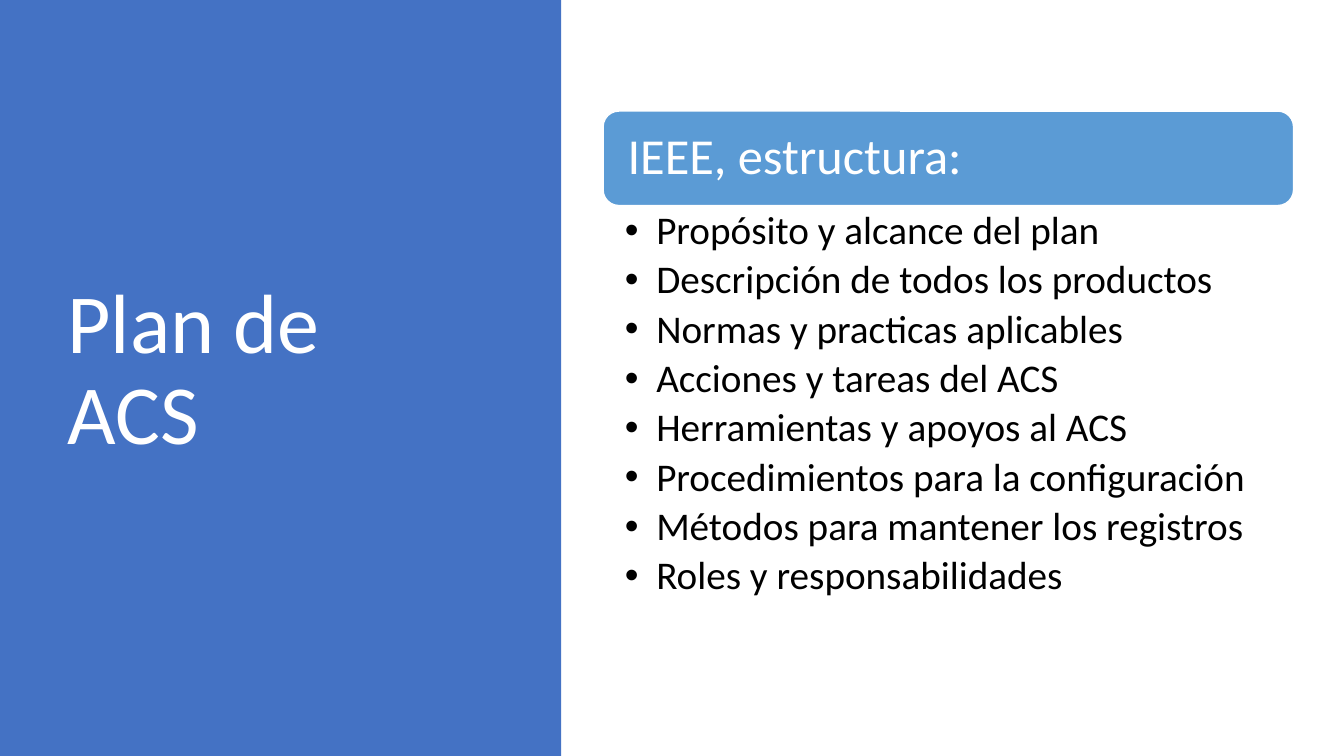
from dataclasses import dataclass

from lxml import etree
from pptx import Presentation
from pptx.dml.color import RGBColor
from pptx.enum.shapes import MSO_SHAPE
from pptx.enum.text import MSO_ANCHOR, MSO_AUTO_SIZE, PP_ALIGN
from pptx.oxml.ns import qn
from pptx.shapes.autoshape import Shape
from pptx.slide import Slide
from pptx.util import Cm, Pt

RECTANGLE = MSO_SHAPE.RECTANGLE
ROUNDED_RECTANGLE = MSO_SHAPE.ROUNDED_RECTANGLE
TOP, MIDDLE = MSO_ANCHOR.TOP, MSO_ANCHOR.MIDDLE
LEFT = PP_ALIGN.LEFT
NO_AUTOFIT = MSO_AUTO_SIZE.NONE

COLORS = {"panel": "4472C4", "header": "5B9BD5", "white": "FFFFFF", "black": "000000"}
FONT = "Calibri"
TITLE_ONLY_LAYOUT = 5
BULLET_INDENT = Cm(0.79)
TOPICS = [
    "Propósito y alcance del plan",
    "Descripción de todos los productos",
    "Normas y practicas aplicables",
    "Acciones y tareas del ACS",
    "Herramientas y apoyos al ACS",
    "Procedimientos para la configuración",
    "Métodos para mantener los registros",
    "Roles y responsabilidades",
]


@dataclass(frozen=True)
class Box:
    """Position and size in centimetres."""
    left: float
    top: float
    width: float
    height: float

    def lengths(self) -> tuple[Cm, Cm, Cm, Cm]:
        return Cm(self.left), Cm(self.top), Cm(self.width), Cm(self.height)


@dataclass(frozen=True)
class TextStyle:
    """Font size in points, insets (left, top, right, bottom) in centimetres."""
    size: int
    color: str
    anchor: MSO_ANCHOR
    insets: tuple[float, float, float, float]
    space_after: int = 0


PANEL_BOX = Box(0, 0, 14.14, 19.05)
TITLE_BOX = Box(1.45, 1.73, 10.57, 15.29)
HEADER_BOX = Box(15.2, 2.8, 17.4, 2.38)
TOPICS_BOX = Box(15.2, 5.18, 17.4, 10.77)

TITLE_STYLE = TextStyle(60, "white", MIDDLE, (0.25, 0.13, 0.6, 0.13))
HEADER_STYLE = TextStyle(36, "white", MIDDLE, (0.5, 0.38, 0.5, 0.38))
TOPICS_STYLE = TextStyle(28, "black", TOP, (0.55, 0.13, 0.7, 0.13), space_after=5)


def add_filled_shape(slide: Slide, kind: MSO_SHAPE, box: Box, color: str) -> Shape:
    shape = slide.shapes.add_shape(kind, *box.lengths())
    shape.shadow.inherit = False
    shape.fill.solid()
    shape.fill.fore_color.rgb = RGBColor.from_string(COLORS[color])
    shape.line.fill.background()
    return shape


def write_text(shape: Shape, text: str, style: TextStyle) -> None:
    text_frame = shape.text_frame
    text_frame.text = text
    text_frame.word_wrap = True
    text_frame.auto_size = NO_AUTOFIT
    text_frame.vertical_anchor = style.anchor
    left, top, right, bottom = (Cm(inset) for inset in style.insets)
    text_frame.margin_left, text_frame.margin_top = left, top
    text_frame.margin_right, text_frame.margin_bottom = right, bottom
    for paragraph in text_frame.paragraphs:
        paragraph.alignment = LEFT
        paragraph.line_spacing = 0.9
        paragraph.space_before = Pt(0)
        paragraph.space_after = Pt(style.space_after)
        for run in paragraph.runs:
            run.font.name = FONT
            run.font.size = Pt(style.size)
            run.font.color.rgb = RGBColor.from_string(COLORS[style.color])


def add_bullets(shape: Shape) -> None:
    for paragraph in shape.text_frame.paragraphs:
        paragraph.level = 1
        properties = paragraph._p.get_or_add_pPr()
        properties.set("marL", str(BULLET_INDENT))
        properties.set("indent", str(-BULLET_INDENT))
        etree.SubElement(properties, qn("a:buFont"), typeface="Arial")
        etree.SubElement(properties, qn("a:buChar"), char="•")


def main() -> None:
    presentation = Presentation()
    presentation.slide_width = Cm(33.87)
    presentation.slide_height = Cm(19.05)
    slide = presentation.slides.add_slide(presentation.slide_layouts[TITLE_ONLY_LAYOUT])

    title = slide.shapes.title
    title.left, title.top, title.width, title.height = TITLE_BOX.lengths()
    write_text(title, "Plan de ACS", TITLE_STYLE)

    panel = add_filled_shape(slide, RECTANGLE, PANEL_BOX, "panel")
    title.element.addprevious(panel.element)

    header = add_filled_shape(slide, ROUNDED_RECTANGLE, HEADER_BOX, "header")
    header.line.color.rgb = RGBColor.from_string(COLORS["white"])
    header.line.width = Pt(1)
    write_text(header, "IEEE, estructura:", HEADER_STYLE)

    topics = slide.shapes.add_textbox(*TOPICS_BOX.lengths())
    write_text(topics, "\n".join(TOPICS), TOPICS_STYLE)
    add_bullets(topics)

    presentation.save("out.pptx")


if __name__ == "__main__":
    main()
